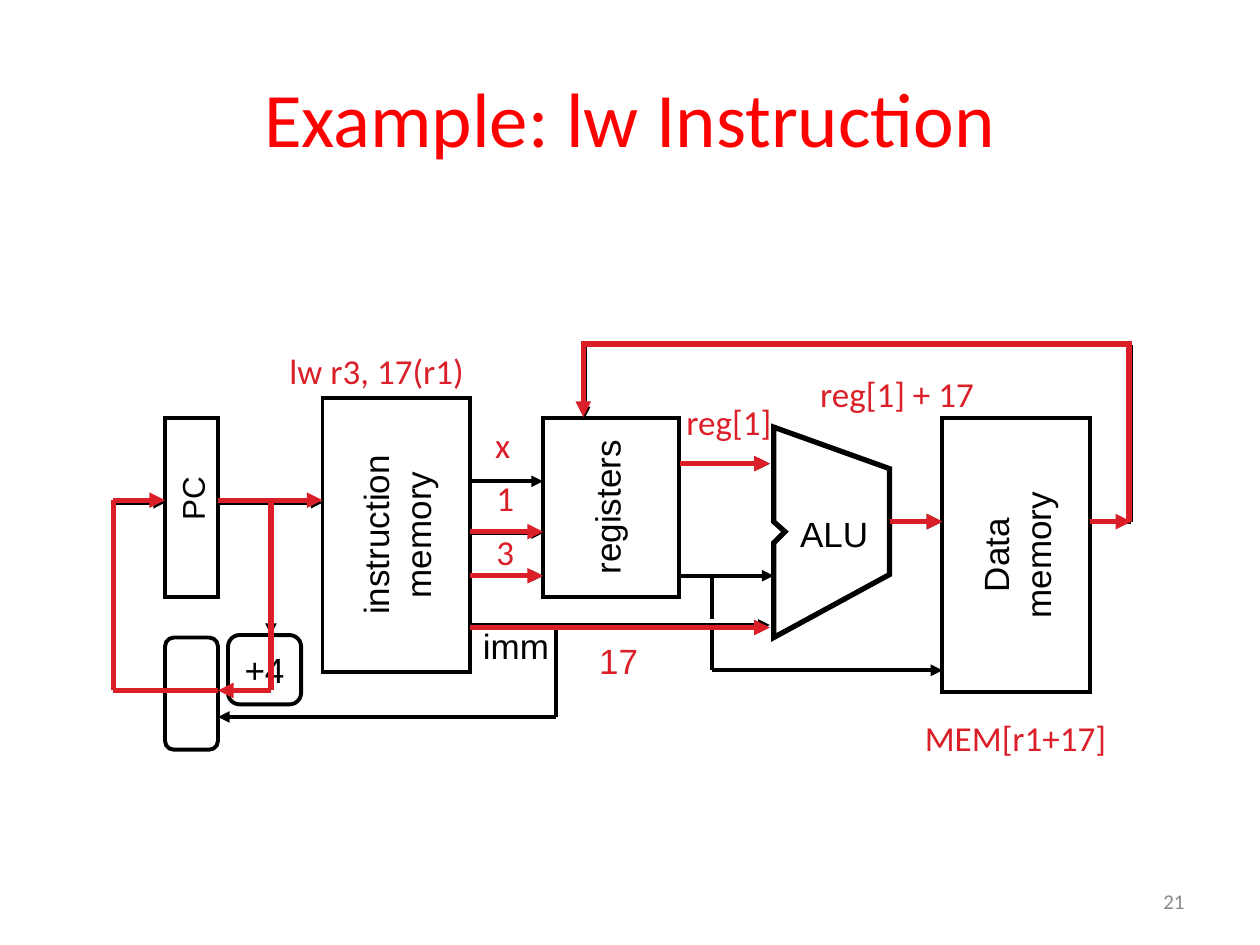
from itertools import pairwise

from lxml import etree
from pptx import Presentation, util as u
from pptx.dml.color import RGBColor
from pptx.enum import shapes, text
from pptx.oxml.ns import qn

COLORS = {"ink": "000000", "path": "DA1F28", "title": "FF0000",
          "paper": "FFFFFF", "number": "898989"}

# Grid: named vertical and horizontal guides, in inches
COL = {"loop": 0.9, "pc": 1.31, "pc_end": 1.73, "next": 2.15, "im": 2.56,
       "im_end": 3.73, "imm": 4.41, "reg": 4.31, "back": 4.64, "reg_end": 5.4,
       "store": 5.65, "alu_in": 6.11, "alu": 6.14, "notch": 6.23,
       "alu_end": 7.06, "dm": 7.48, "dm_end": 8.65, "far": 8.98}
ROW = {"back": 2.74, "box": 3.32, "out1": 3.68, "in1": 3.82, "pc": 3.99,
       "pc_hot": 3.97, "mid": 4.14, "in2": 4.23, "in2_hot": 4.22, "in3": 4.57,
       "hop": 4.91, "hop_end": 4.99, "imm": 4.96, "imm_hot": 4.98, "add": 5.04,
       "store": 5.32, "next": 5.48, "branch": 5.69}

# Boxes: preset, left, top, width, height, rotation, lines of text
BOXES = [
    ("RECTANGLE", 1.31, 3.32, 0.42, 1.42, 0, []),
    ("RECTANGLE", 2.06, 3.66, 2.17, 1.17, 270, ["instruction", "memory"]),
    ("ROUNDED_RECTANGLE", 1.81, 5.04, 0.58, 0.55, 0, ["+4"]),
    ("RECTANGLE", 4.31, 3.32, 1.08, 1.42, 0, []),
    ("RECTANGLE", 6.98, 3.82, 2.17, 1.17, 270, ["Data", "memory"]),
    ("ROUNDED_RECTANGLE", 1.31, 5.06, 0.42, 0.89, 0, []),
]
ALU = [("alu", 3.39), ("alu_end", 3.72), ("alu_end", 4.56), ("alu", 5.06),
       ("alu", 4.31), ("notch", 4.22), ("alu", 4.14)]

# Wires: ends with an arrowhead?, then "column row" stops
WIRES = [
    (True, "pc_end pc, im pc"),
    (True, "im_end in1, reg in1"),
    (True, "im_end in2, reg in2"),
    (True, "im_end in3, reg in3"),
    (True, "reg_end in3, alu in3"),
    (True, "im_end imm, alu_in imm"),
    (True, "reg_end out1, alu_in out1"),
    (False, "store in3, store hop"),
    (True, "store hop_end, store store, dm store"),
    (True, "dm_end mid, far mid, far back, back back, back box"),
    (True, "next pc, next add"),
    (True, "imm imm, imm branch, pc_end branch"),
    (True, "pc next, loop next, loop pc, pc pc"),
]
ALU_WIRE = (True, "alu_end mid, dm mid")
HOT_WIRES = [
    (True, "pc_end pc_hot, im pc_hot"),
    (True, "alu_end mid, dm mid"),
    (True, "reg_end out1, alu_in out1"),
    (True, "dm_end mid, far mid"),
    (True, "next pc, next next, pc_end next"),
    (True, "pc_end next, loop next, loop pc_hot, pc pc_hot"),
    (True, "im_end in2_hot, reg in2_hot"),
    (True, "im_end imm_hot, alu_in imm_hot"),
    (True, "im_end in3, reg in3"),
]
WRITE_BACK = [(8.96, 4.14), (8.96, 2.73), (4.63, 2.73), (4.63, 3.31)]

# Labels: text, left, top, width, height, rotation, size, font, colour
LABELS = [
    ("ALU", 6.1, 4.02, 1.04, 0.43, 0, 20, "Arial", "ink"),
    ("registers", 4.11, 3.81, 1.41, 0.43, 270, 20, "Arial", "ink"),
    ("PC", 1.25, 3.76, 0.55, 0.4, 270, 18, "Arial", "ink"),
    ("imm", 3.68, 4.91, 0.83, 0.43, 0, 20, "Arial", "ink"),
    ("17", 4.65, 4.98, 0.52, 0.52, 0, 20, "Arial", "path"),
    ("x", 3.83, 3.31, 0.32, 0.44, 0, 20, "Calibri", "path"),
    ("1", 3.83, 3.73, 0.36, 0.43, 0, 20, "Calibri", "path"),
    ("3", 3.83, 4.16, 0.36, 0.43, 0, 20, "Calibri", "path"),
    ("lw r3, 17(r1)", 2.15, 2.72, 1.68, 0.44, 0, 20, "Calibri", "path"),
    ("reg[1]", 5.33, 3.13, 0.91, 0.43, 0, 20, "Calibri", "path"),
    ("reg[1] + 17", 6.34, 2.86, 1.56, 0.52, 0, 20, "Calibri", "path"),
    ("MEM[r1+17]", 7.02, 5.59, 2.08, 0.52, 0, 20, "Calibri", "path"),
    ("Example: lw Instruction", 0.5, 0.3, 9, 1.25, 0, 44, "Calibri", "title"),
]
NUMBER = ("21", 7.17, 6.95, 2.33, 0.4, 0, 12, "Calibri", "number")


def rgb(name):
    return RGBColor.from_string(COLORS[name])


def inches(values):
    return [u.Inches(value) for value in values]


def stroke(item, color, width, arrow=False):
    item.line.color.rgb = rgb(color)
    item.line.width = u.Pt(width)
    line = item.line._ln
    etree.SubElement(line, qn("a:miter"), lim="800000")
    if arrow:
        etree.SubElement(line, qn("a:tailEnd"), type="triangle")


def write(box, lines, size, font, color, align="CENTER"):
    frame = box.text_frame
    layout = {"word_wrap": False, "vertical_anchor": text.MSO_ANCHOR.MIDDLE}
    for name, value in layout.items():
        setattr(frame, name, value)
    look = {"size": u.Pt(size), "name": font}
    for index, words in enumerate(lines):
        para = frame.add_paragraph() if index else frame.paragraphs[0]
        para.alignment = getattr(text.PP_ALIGN, align)
        span = para.add_run()
        span.text = words
        for name, value in look.items():
            setattr(span.font, name, value)
        span.font.color.rgb = rgb(color)


def add_label(page, label, align="CENTER"):
    words, left, top, width, height, turn, size, font, color = label
    box = page.shapes.add_textbox(*inches((left, top, width, height)))
    box.rotation = turn
    write(box, [words], size, font, color, align)


def add_outline(page, points, closed, color, arrow=False):
    points = [tuple(inches(point)) for point in points]
    builder = page.shapes.build_freeform(*points[0], scale=1.0)
    builder.add_line_segments(points[1:], close=closed)
    outline = builder.convert_to_shape()
    outline.shadow.inherit = False
    outline.fill.background()
    stroke(outline, color, 3, arrow)


def add_wire(page, wire, color, width):
    arrow, route = wire
    stops = [stop.split() for stop in route.split(", ")]
    points = [(COL[col], ROW[row]) for col, row in stops]
    legs = list(pairwise(points))
    for number, (start, end) in enumerate(legs, 1):
        leg = page.shapes.add_connector(
            shapes.MSO_CONNECTOR.STRAIGHT, *inches(start + end))
        stroke(leg, color, width, arrow and number == len(legs))
        etree.SubElement(leg._element.spPr, qn("a:effectLst"))


def main():
    deck = Presentation()
    deck.slide_width, deck.slide_height = inches((10, 7.5))
    page = deck.slides.add_slide(deck.slide_layouts[6])

    # Hardware blocks
    add_outline(page, [(COL[col], y) for col, y in ALU], True, "ink")
    for preset, left, top, width, height, turn, lines in BOXES:
        box = page.shapes.add_shape(getattr(shapes.MSO_SHAPE, preset),
                                    *inches((left, top, width, height)))
        box.shadow.inherit = False
        box.rotation = turn
        box.fill.solid()
        box.fill.fore_color.rgb = rgb("paper")
        stroke(box, "ink", 2.25)
        write(box, lines, 20, "Arial", "ink")

    # Wiring, then the path the instruction takes
    add_wire(page, ALU_WIRE, "ink", 3)
    for wire in WIRES:
        add_wire(page, wire, "ink", 2.25)
    for wire in HOT_WIRES:
        add_wire(page, wire, "path", 3)
    add_outline(page, WRITE_BACK, False, "path", arrow=True)

    # Title, labels and page number
    for label in LABELS:
        add_label(page, label)
    add_label(page, NUMBER, "RIGHT")
    deck.save("out.pptx")


if __name__ == "__main__":
    main()
